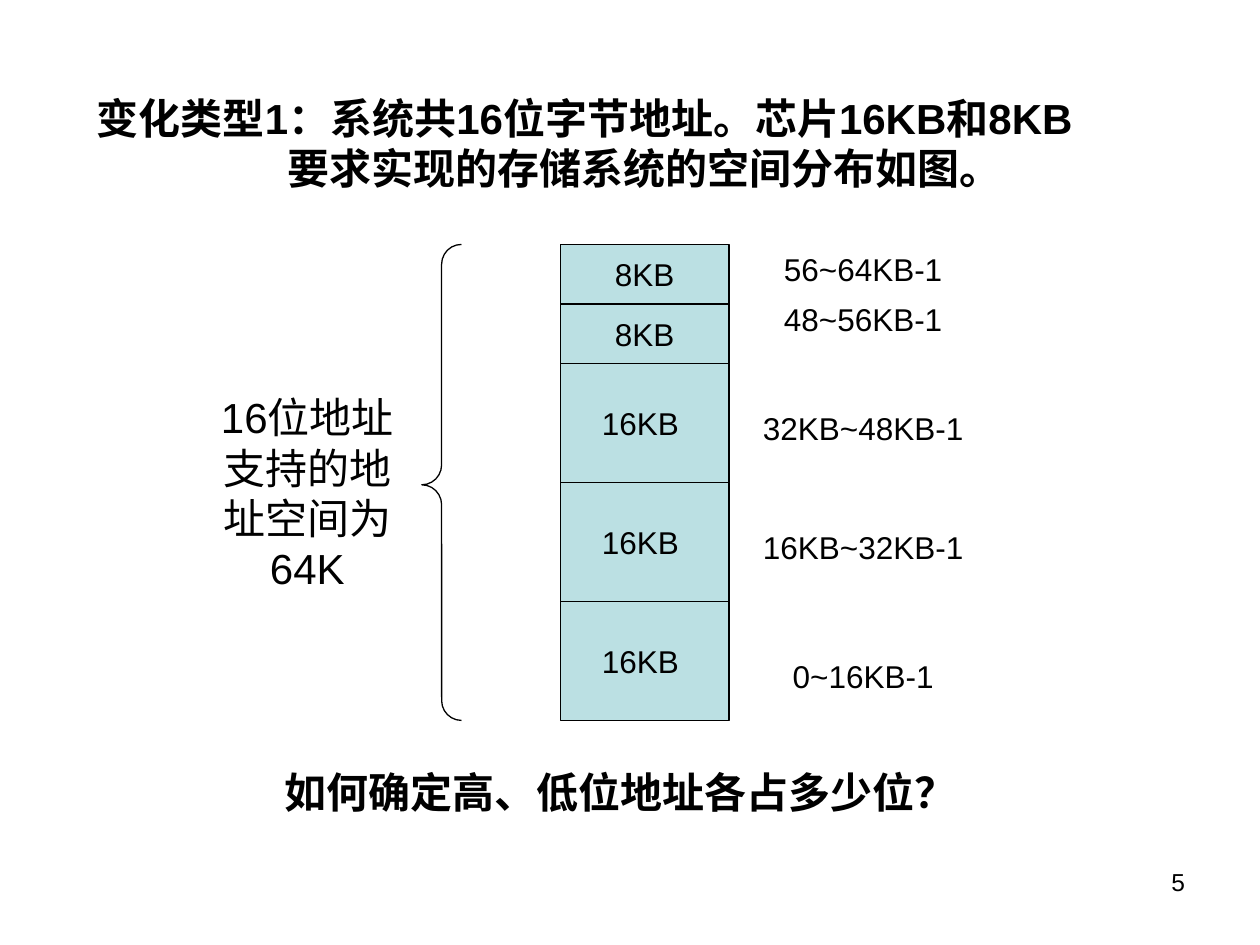
import dataclasses

import pptx
import pptx.dml.color
import pptx.enum.shapes
import pptx.enum.text
import pptx.util

Pt = pptx.util.Pt
RGB = pptx.dml.color.RGBColor
SHAPE = pptx.enum.shapes.MSO_SHAPE
ANCHOR = pptx.enum.text.MSO_ANCHOR
ALIGN = pptx.enum.text.PP_ALIGN


@dataclasses.dataclass(frozen=True)
class Theme:
    font: str = "Arial"
    ink: RGB = RGB(0, 0, 0)
    block: RGB = RGB(0xBB, 0xE0, 0xE3)
    heading: int = 24
    label: int = 18
    number: int = 14
    line: float = 0.75


class Deck:
    def __init__(self, theme):
        self.theme = theme
        self.prs = pptx.Presentation()
        self.prs.slide_width, self.prs.slide_height = Pt(720), Pt(540)
        self.s = None

    def add_slide(self):
        self.s = self.prs.slides.add_slide(self.prs.slide_layouts[5])

    def fill_text(self, sp, lines, size, bold=False, align=ALIGN.LEFT,
                  anchor=ANCHOR.TOP, wrap=True):
        tf = sp.text_frame
        frame = {"auto_size": pptx.enum.text.MSO_AUTO_SIZE.NONE,
                 "word_wrap": wrap, "vertical_anchor": anchor,
                 "margin_left": Pt(7.2), "margin_right": Pt(7.2),
                 "margin_top": Pt(3.6), "margin_bottom": Pt(3.6)}
        for name, value in frame.items():
            setattr(tf, name, value)
        font = {"name": self.theme.font, "size": Pt(size), "bold": bold}
        for i, line in enumerate(lines):
            p = tf.paragraphs[0] if i == 0 else tf.add_paragraph()
            p.alignment = align
            r = p.add_run()
            r.text = line
            for name, value in font.items():
                setattr(r.font, name, value)
            r.font.color.rgb = self.theme.ink

    def title(self, box, lines, indent):
        """Set the title, with every line after the first indented."""
        sp = self.s.shapes.title
        sp.left, sp.top, sp.width, sp.height = map(Pt, box)
        self.fill_text(sp, lines, self.theme.heading, bold=True)
        for p in sp.text_frame.paragraphs[1:]:
            p._p.get_or_add_pPr().set("marL", str(Pt(indent)))

    def text(self, box, lines, size, **style):
        sp = self.s.shapes.add_textbox(*map(Pt, box))
        self.fill_text(sp, lines, size, **style)

    def centred(self, box, lines, size):
        self.text(box, lines, size, align=ALIGN.CENTER,
                  anchor=ANCHOR.MIDDLE, wrap=False)

    def outline(self, kind, box):
        sp = self.s.shapes.add_shape(kind, *map(Pt, box))
        sp.shadow.inherit = False
        sp.line.color.rgb = self.theme.ink
        sp.line.width = Pt(self.theme.line)
        return sp

    def block(self, box, label):
        sp = self.outline(SHAPE.RECTANGLE, box)
        sp.fill.solid()
        sp.fill.fore_color.rgb = self.theme.block
        self.fill_text(sp, [label], self.theme.label, align=ALIGN.CENTER,
                       anchor=ANCHOR.MIDDLE, wrap=False)

    def brace(self, box, curl, tip):
        sp = self.outline(SHAPE.LEFT_BRACE, box)
        sp.fill.background()
        sp.adjustments[0], sp.adjustments[1] = curl, tip


def main():
    theme = Theme()
    deck = Deck(theme)
    deck.add_slide()
    deck.title((48.2, 49, 584, 93.6),
               ["变化类型1：系统共16位字节地址。芯片16KB和8KB",
                "要求实现的存储系统的空间分布如图。"], indent=109)

    stack_top, pt_per_kb = 139.7, 4.25
    # Size in KB, block label, address range, top of the range label
    regions = [(8, "8KB", "56~64KB-1", 139.7),
               (8, "8KB", "48~56KB-1", 168),
               (16, "16KB ", "32KB~48KB-1", 230.4),
               (16, "16KB ", "16KB~32KB-1", 298.4),
               (16, "16KB ", "0~16KB-1", 372.4)]
    top = stack_top
    for kb, label, addresses, label_top in regions:
        height = kb * pt_per_kb
        deck.block((320.2, top, 96.5, height), label)
        deck.centred((445, label_top, 96.5, 28), [addresses], theme.label)
        top += height

    stack_height = top - stack_top
    deck.brace((241, stack_top, 22.7, stack_height), curl=0.5, tip=0.505)
    deck.centred((127.4, 145.4, 96.5, stack_height),
                 ["16位地址", "支持的地", "址空间为", "64K"], theme.heading)
    deck.text((155.5, 434.2, 408.2, 36),
              ["如何确定高、低位地址各占多少位？"], theme.heading, bold=True)
    deck.text((516.2, 491.8, 168, 37.4), ["5"], theme.number,
              align=ALIGN.RIGHT)
    deck.prs.save("out.pptx")


if __name__ == "__main__":
    main()
